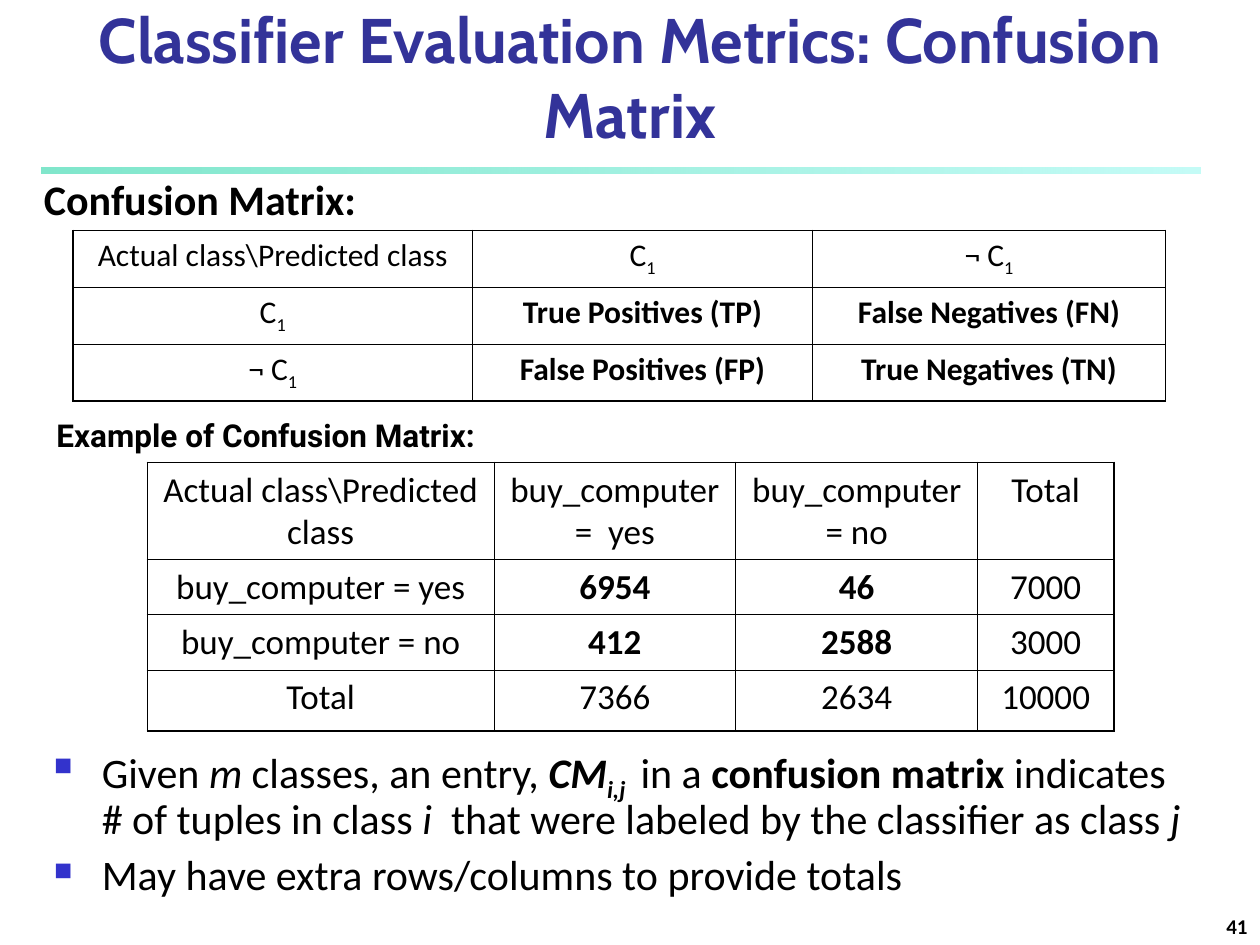
from dataclasses import dataclass

from lxml import etree
from pptx import Presentation
from pptx.dml.color import RGBColor
from pptx.enum import shapes, text
from pptx.oxml import ns
from pptx.util import Inches, Pt


@dataclass(frozen=True)
class Theme:
    """Colours, fonts and type sizes of the slide."""
    ink: str = "000000"
    title: str = "333399"
    bullet: str = "3333CC"
    rule: tuple = (("00CE98", 50), ("8FF9EF", 52))
    body_font: str = "Calibri"
    title_font: str = "Cabin"
    label_font: str = "Roboto"
    title_size: int = 36
    body_size: int = 24
    table_size: int = 20
    small_size: int = 18
    number_size: int = 12
    outer_line: float = 1.08
    inner_line: float = 0.45


THEME = Theme()
C1 = [("C", ""), ("1", "s")]
NOT_C1 = [("¬ C", ""), ("1", "s")]
CORNER = "Actual class\\Predicted class"

MATRIX = [
    [CORNER, C1, NOT_C1],
    [C1, [("True Positives (TP)", "b")], [("False Negatives (FN)", "b")]],
    [NOT_C1, [("False Positives (FP)", "b")], [("True Negatives (TN)", "b")]],
]
EXAMPLE = [
    [CORNER, "buy_computer =  yes", "buy_computer = no", "Total"],
    ["buy_computer = yes", [("6954", "b")], [("46", "b")], "7000"],
    ["buy_computer = no", [("412", "b")], [("2588", "b")], "3000"],
    ["Total", "7366", "2634", "10000"],
]
BULLETS = [
    [("Given", ""), (" m", "i"), (" classes, an entry, ", ""), ("CM", "bi"),
     ("i,j ", "bis"), (" in a ", ""), ("confusion matrix", "b"),
     (" indicates # of tuples in class ", ""), ("i", "i"),
     ("  that were labeled by the classifier as class ", ""), ("j", "i")],
    "May have extra rows/columns to provide totals",
]


def sub(parent, tag, **attrs):
    """Append a DrawingML child element."""
    return etree.SubElement(parent, ns.qn("a:" + tag), attrs)


def write_runs(p, content, size, font=THEME.body_font, color=THEME.ink):
    """Fill a paragraph with runs flagged b (bold), i (italic), s (subscript)."""
    runs = [(content, "")] if isinstance(content, str) else content
    for words, flags in runs:
        r = p.add_run()
        r.text = words
        r.font.size, r.font.name = Pt(size), font
        r.font.color.rgb = RGBColor.from_string(color)
        r.font.bold, r.font.italic = "b" in flags, "i" in flags
        if "s" in flags:
            r.font._element.set("baseline", "-25000")


def add_text(s, box, content, size, font=THEME.body_font, color=THEME.ink,
             align=text.PP_ALIGN.LEFT, anchor=text.MSO_ANCHOR.TOP, wrap=True):
    """Add a text box holding one paragraph."""
    tf = s.shapes.add_textbox(*map(Inches, box)).text_frame
    tf.word_wrap, tf.vertical_anchor = wrap, anchor
    p = tf.paragraphs[0]
    p.alignment = align
    write_runs(p, content, size, font, color)


def add_bullets(s, box, items):
    """Add a list with small square bullets."""
    tf = s.shapes.add_textbox(*map(Inches, box)).text_frame
    tf.word_wrap = True
    for i, item in enumerate(items):
        p = tf.add_paragraph() if i else tf.paragraphs[0]
        p.line_spacing, p.space_before = 0.9, Pt(6)
        pr = p._p.get_or_add_pPr()
        pr.set("marL", str(Inches(0.38)))
        pr.set("indent", str(Inches(-0.38)))
        sub(sub(pr, "buClr"), "srgbClr", val=THEME.bullet)
        sub(pr, "buSzPct", val="60000")
        sub(pr, "buChar", char="■")
        write_runs(p, item, THEME.body_size)


def add_rule(s, box):
    """Add the translucent gradient bar under the title."""
    sp = s.shapes.add_shape(shapes.MSO_SHAPE.RECTANGLE, *map(Inches, box))
    sp.shadow.inherit = False
    sp.line.fill.background()
    sp.fill.gradient()
    sp.fill.gradient_angle = 0
    for stop, (color, _) in zip(sp.fill.gradient_stops, THEME.rule):
        stop.color.rgb = RGBColor.from_string(color)
    colors = sp._element.spPr.iter(ns.qn("a:srgbClr"))
    for clr, (_, alpha) in zip(list(colors), THEME.rule):
        sub(clr, "alpha", val=str(alpha * 1000))


def set_borders(cell, outer):
    """Draw the four cell borders, heavier on the sides named in outer."""
    pr = cell._tc.get_or_add_tcPr()
    for side in "LRTB":
        width = THEME.outer_line if side in outer else THEME.inner_line
        ln = sub(pr, "ln" + side, w=str(Pt(width)))
        sub(sub(ln, "solidFill"), "srgbClr", val=THEME.ink)


def add_grid(s, left, top, widths, heights, rows, size):
    """Add a plain ruled table with centred cells."""
    box = map(Inches, (left, top, sum(widths), sum(heights)))
    table = s.shapes.add_table(len(rows), len(widths), *box).table
    table.first_row = table.horz_banding = False
    for col, width in zip(table.columns, widths):
        col.width = Inches(width)
    for i, (height, row) in enumerate(zip(heights, rows)):
        table.rows[i].height = Inches(height)
        for j, content in enumerate(row):
            cell = table.cell(i, j)
            edges = {"L": j == 0, "R": j == len(row) - 1,
                     "T": i == 0, "B": i == len(rows) - 1}
            set_borders(cell, [side for side, on in edges.items() if on])
            cell.fill.background()
            p = cell.text_frame.paragraphs[0]
            p.alignment, p.space_before = text.PP_ALIGN.CENTER, Pt(size / 4)
            write_runs(p, content, size)


def main():
    """Build the slide and save it."""
    prs = Presentation()
    prs.slide_width, prs.slide_height = Inches(10), Inches(7.5)
    s = prs.slides.add_slide(prs.slide_layouts[6])
    add_rule(s, (0.33, 1.33, 9.2, 0.05))
    add_text(s, (0, 0, 10, 1.25),
             [("Classifier Evaluation Metrics: Confusion Matrix", "b")],
             THEME.title_size, THEME.title_font, THEME.title,
             text.PP_ALIGN.CENTER, text.MSO_ANCHOR.BOTTOM)
    add_grid(s, 1.17, 3.67, (2.75, 1.92, 1.92, 1.08),
             (0.77, 0.44, 0.44, 0.48), EXAMPLE, THEME.table_size)
    add_bullets(s, (0.33, 5.88, 9.25, 1.37), BULLETS)
    add_text(s, (0.25, 1.33, 2.85, 0.5), [("Confusion Matrix:", "b")],
             THEME.body_size)
    add_grid(s, 0.58, 1.83, (3.17, 2.7, 2.8), (0.45,) * 3, MATRIX,
             THEME.small_size)
    add_text(s, (0.35, 3.25, 3.87, 0.4),
             [("Example of Confusion Matrix:", "b")],
             THEME.small_size, THEME.label_font, wrap=False)
    add_text(s, (7.92, 7.08, 2.08, 0.42), [("41", "b")], THEME.number_size,
             align=text.PP_ALIGN.RIGHT, anchor=text.MSO_ANCHOR.BOTTOM)
    prs.save("out.pptx")


if __name__ == "__main__":
    main()
